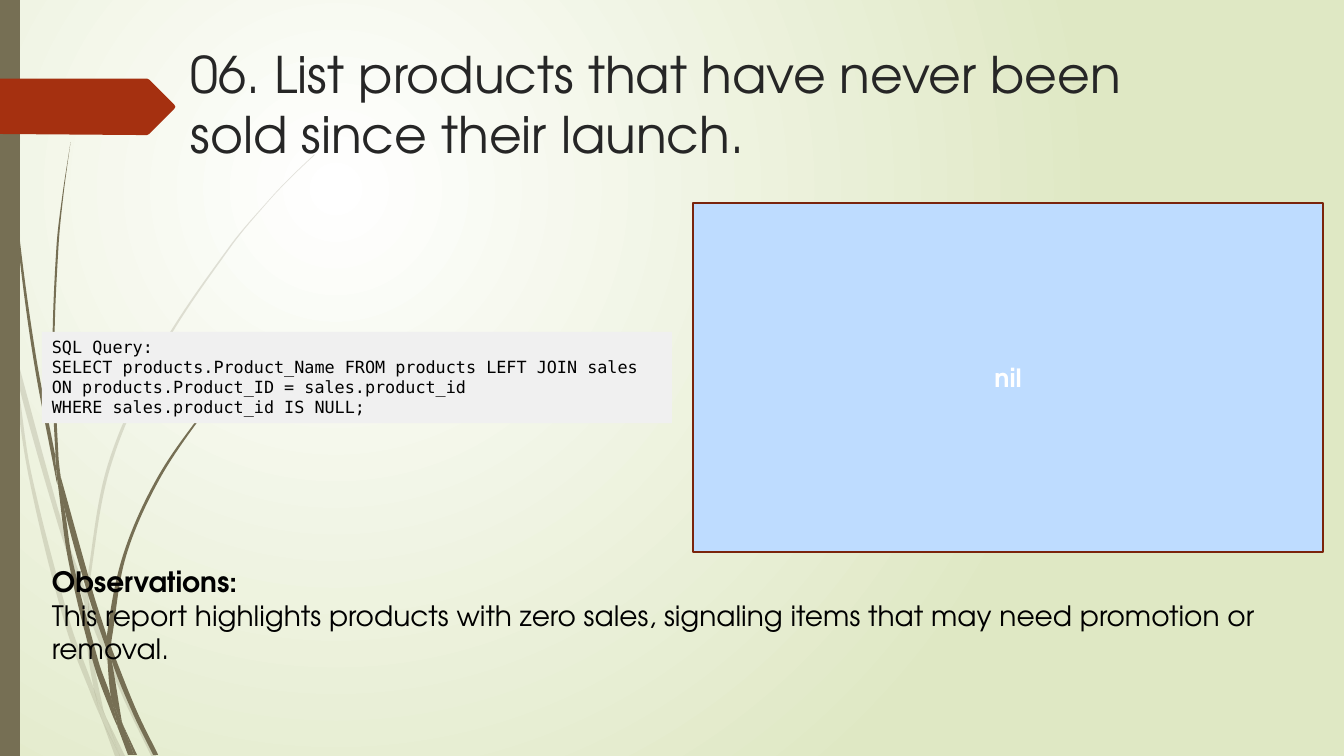
from dataclasses import dataclass

import math

import lxml.etree
import pptx
import pptx.dml.color
import pptx.enum.shapes
import pptx.enum.text
import pptx.oxml.ns
import pptx.util

PX = 9525  # EMU in one px, 96 px to the inch
WIDTH, HEIGHT = 1280, 720
OUTLINE = 0.96  # px in one unit of the outlines below
SANS, MONO = "TeX Gyre Adventor", "DejaVu Sans Mono"
OLIVE, RED = "766F54", "A53010"

Points = list[tuple[int, int]]


@dataclass
class Blade:
    """A grass blade: one edge out, the other edge back."""
    out: Points
    back: Points


@dataclass
class Box:
    left: int
    top: int
    width: int
    height: int
    fill: str | None = None
    line: str | None = None


PALE_BLADES = [
    Blade([(11, 350), (9, 322), (0, 282)], [(0, 299), (10, 344), (11, 350)]),
    Blade([(14, 345), (17, 376), (58, 522), (84, 599)], [(85, 586), (62, 520), (14, 345)]),
    Blade([(88, 596), (88, 610), (123, 694), (150, 750)], [(155, 750), (127, 692), (92, 607), (88, 596)]),
    Blade([(119, 750), (124, 750)], [(105, 711), (119, 750)]),
    Blade([(101, 714), (99, 707), (93, 683), (70, 619), (31, 469), (17, 376), (11, 350)],
          [(11, 350), (28, 470), (65, 621), (92, 693), (101, 714)]),
    Blade([(84, 599), (87, 646), (93, 683), (96, 692), (105, 711)],
          [(105, 711), (103, 706), (91, 646), (88, 610), (88, 608), (84, 599)]),
    Blade([(88, 596), (88, 584), (110, 462), (160, 349), (229, 245), (268, 198), (290, 175), (312, 154)],
          [(312, 153), (289, 175), (268, 197), (228, 244), (158, 348), (107, 461), (85, 584), (85, 586)]),
    Blade([(101, 714), (114, 750)], [(119, 750), (101, 714)]),
    Blade([(88, 610), (88, 596), (85, 586)], [(84, 599), (88, 608)]),
    Blade([(93, 683), (99, 707), (101, 714), (119, 750)], [(119, 750), (105, 711), (96, 692), (93, 683)]),
]
DARK_BLADES = [
    Blade([(3, 0), (4, 48), (7, 110), (17, 233), (33, 355), (56, 477), (57, 481)],
          [(55, 457), (55, 453), (36, 355), (19, 232), (8, 109), (5, 48), (4, 0)]),
    Blade([(60, 472), (64, 505), (88, 592), (106, 645)], [(106, 633), (106, 631), (93, 590), (60, 472)]),
    Blade([(110, 641), (111, 656), (132, 708), (152, 749)], [(157, 749), (136, 706), (113, 649), (110, 641)]),
    Blade([(117, 722), (116, 717), (110, 691), (98, 657), (72, 556), (64, 505), (57, 477)],
          [(57, 477), (68, 557), (93, 659), (111, 708), (117, 722)]),
    Blade([(60, 472), (58, 453), (54, 349), (58, 245), (63, 193), (70, 141)],
          [(70, 141), (62, 193), (56, 245), (52, 349), (55, 449), (60, 472)]),
    Blade([(133, 749), (136, 749)], [(122, 719), (133, 749)]),
    Blade([(55, 453), (57, 477), (64, 505)], [(60, 472), (55, 449)]),
    Blade([(110, 641), (111, 633), (125, 552), (158, 476), (205, 406), (231, 374), (245, 359), (261, 344)],
          [(260, 344), (245, 358), (231, 373), (204, 405), (156, 474), (122, 551), (106, 631), (110, 641)]),
    Blade([(117, 722), (127, 749)], [(131, 749), (117, 722)]),
    Blade([(106, 645), (110, 691), (116, 706), (122, 719)],
          [(122, 719), (121, 716), (111, 656), (109, 651), (106, 645)]),
    Blade([(106, 645), (109, 651), (111, 656)], [(110, 641), (106, 631)]),
    Blade([(110, 691), (116, 717), (117, 722), (130, 749)], [(133, 749), (122, 719), (116, 706), (110, 691)]),
]
ARROW: Points = [(0, 78), (146, 78), (148, 79), (173, 104), (174, 106), (173, 108),
                 (148, 133), (146, 134), (136, 134), (0, 133)]


def rgb(color: str) -> pptx.dml.color.RGBColor:
    return pptx.dml.color.RGBColor.from_string(color)


def xml_child(parent, tag: str, **attrs: str):
    return lxml.etree.SubElement(parent, pptx.oxml.ns.qn(tag), attrs)


def scale(points: Points) -> Points:
    return [(round(x * OUTLINE * PX), round(y * OUTLINE * PX)) for x, y in points]


def handles(edge: Points) -> list[Points]:
    """Return the two Bezier handles of each piece of a smooth edge."""
    ends = [edge[0], *edge, edge[-1]]
    headings = [math.atan2(c[1] - a[1], c[0] - a[0]) for a, c in zip(ends, ends[2:])]
    pairs = []
    for p, q, start, end in zip(edge, edge[1:], headings, headings[1:]):
        reach = math.dist(p, q) / 3
        pairs.append([
            (round(p[0] + reach * math.cos(start)), round(p[1] + reach * math.sin(start))),
            (round(q[0] - reach * math.cos(end)), round(q[1] - reach * math.sin(end))),
        ])
    return pairs


def add_outline(shapes, points: Points, color: str, alpha: int = 100):
    builder = shapes.build_freeform(*points[0])
    builder.add_line_segments(points[1:])
    sp = builder.convert_to_shape()
    sp.shadow.inherit = False
    sp.line.fill.background()
    sp.fill.solid()
    sp.fill.fore_color.rgb = rgb(color)
    if alpha < 100:
        srgb = sp.element.spPr.find(".//" + pptx.oxml.ns.qn("a:srgbClr"))
        xml_child(srgb, "a:alpha", val=str(alpha * 1000))
    return sp


def add_blade(shapes, blade: Blade, alpha: int) -> None:
    out, back = scale(blade.out), scale(blade.back)
    points = out + back
    sp = add_outline(shapes, points, OLIVE, alpha)
    left, top = (min(values) for values in zip(*points))
    # Bend every straight piece, except the one between the two edges
    lines = list(sp.element.iter(pptx.oxml.ns.qn("a:lnTo")))
    for line, pair in zip(lines, [*handles(out), None, *handles(back)]):
        if pair:
            line.tag = pptx.oxml.ns.qn("a:cubicBezTo")
            for i, (x, y) in enumerate(pair):
                pt = xml_child(line, "a:pt", x=str(x - left), y=str(y - top))
                line.insert(i, pt)


def add_box(slide, box: Box):
    area = [v * PX for v in (box.left, box.top, box.width, box.height)]
    if box.fill is None:
        return slide.shapes.add_textbox(*area)
    sp = slide.shapes.add_shape(pptx.enum.shapes.MSO_SHAPE.RECTANGLE, *area)
    sp.shadow.inherit = False
    sp.fill.solid()
    sp.fill.fore_color.rgb = rgb(box.fill)
    if box.line:
        sp.line.color.rgb = rgb(box.line)
        sp.line.width = pptx.util.Pt(1.25)
    else:
        sp.line.fill.background()
    return sp


def add_text(sp, text: str, *, size: int, font: str = SANS, color: str = "000000",
             bold_lines: int = 0, align: str = "LEFT", anchor: str = "TOP") -> None:
    tf = sp.text_frame
    tf.word_wrap = True
    tf.vertical_anchor = pptx.enum.text.MSO_ANCHOR[anchor]
    for i, line in enumerate(text.split("\n")):
        p = tf.add_paragraph() if i else tf.paragraphs[0]
        p.alignment = pptx.enum.text.PP_ALIGN[align]
        r = p.add_run()
        r.text = line
        r.font.name = font
        r.font.size = pptx.util.Pt(size)
        r.font.bold = i < bold_lines
        r.font.color.rgb = rgb(color)


def set_background(slide) -> None:
    fill = slide.background.fill
    fill.gradient()
    for stop, color in zip(fill.gradient_stops, ("FFFFFF", "DFE8C4")):
        stop.color.rgb = rgb(color)
    grad = slide.element.find(".//" + pptx.oxml.ns.qn("a:gradFill"))
    grad.remove(grad.find(pptx.oxml.ns.qn("a:lin")))
    circle = xml_child(grad, "a:path", path="circle")
    xml_child(circle, "a:fillToRect", l="50000", t="50000", r="100000", b="100000")


def main() -> None:
    prs = pptx.Presentation()
    prs.slide_width, prs.slide_height = WIDTH * PX, HEIGHT * PX
    slide = prs.slides.add_slide(prs.slide_layouts[6])
    set_background(slide)

    # Grass, side bar and arrow
    for blades, alpha in ((PALE_BLADES, 20), (DARK_BLADES, 100)):
        group = slide.shapes.add_group_shape()
        for blade in blades:
            add_blade(group.shapes, blade, alpha)
    add_box(slide, Box(0, 0, 19, HEIGHT, OLIVE))
    add_outline(slide.shapes, scale(ARROW), RED)

    # Title
    add_text(add_box(slide, Box(172, 36, 936, 134)),
             "06. List products that have never been sold since their launch.", size=36, color="262626")
    # Query and its result
    add_text(add_box(slide, Box(40, 316, 600, 87, "F0F0F0")),
             "SQL Query:\n"
             "SELECT products.Product_Name FROM products LEFT JOIN sales\n"
             "ON products.Product_ID = sales.product_id\n"
             "WHERE sales.product_id IS NULL;", size=12, font=MONO)
    add_text(add_box(slide, Box(660, 193, 600, 333, "BEDCFF", "7A240C")),
             "nil", size=18, color="FFFFFF", bold_lines=1, align="CENTER", anchor="MIDDLE")
    # Observations
    add_text(add_box(slide, Box(40, 533, 1240, 107)),
             "Observations:\n"
             "This report highlights products with zero sales, signaling items "
             "that may need promotion or removal.", size=20, bold_lines=1)
    prs.save("out.pptx")


if __name__ == "__main__":
    main()
